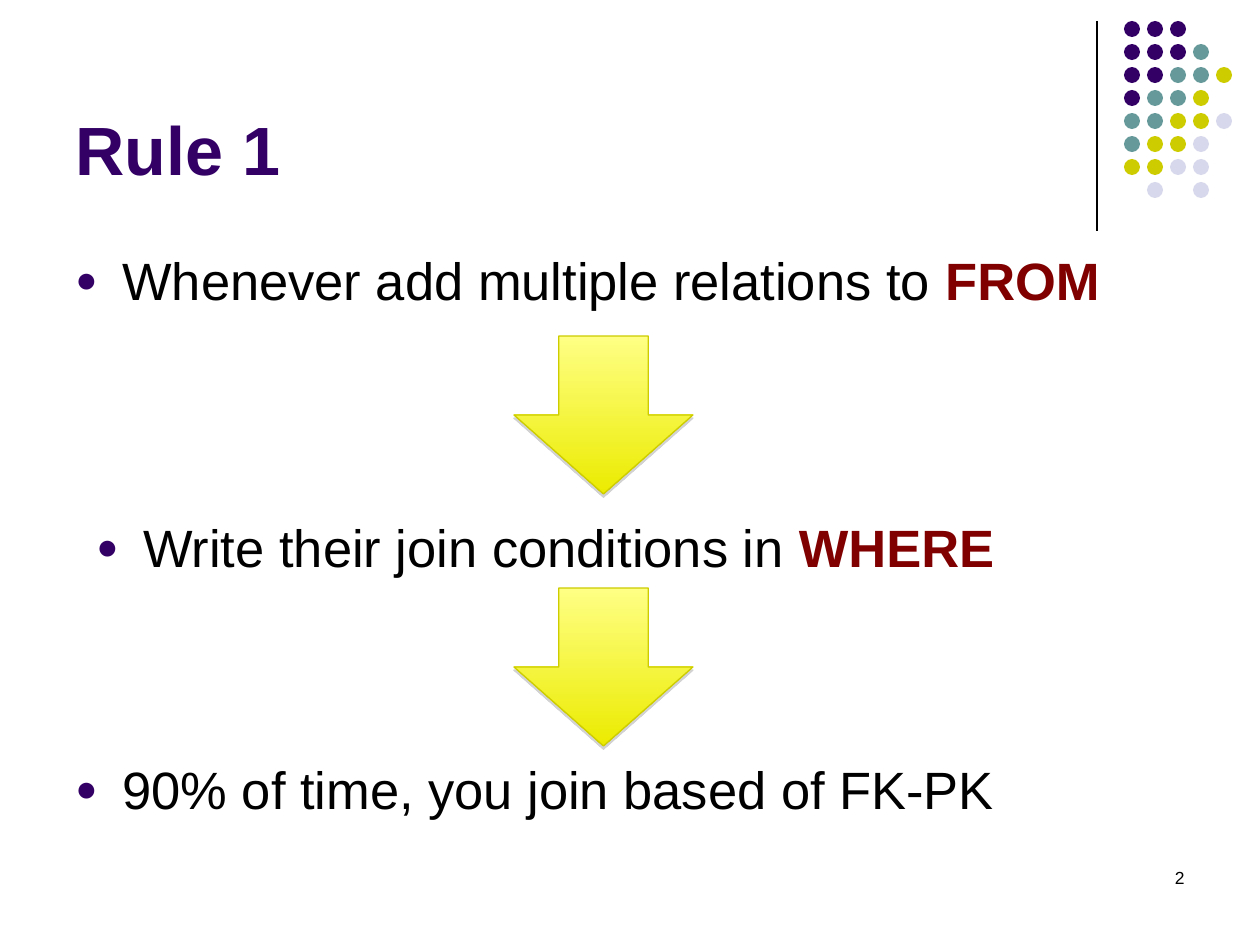
from lxml.etree import SubElement
from pptx import Presentation
from pptx.dml.color import RGBColor
from pptx.enum.shapes import MSO_CONNECTOR, MSO_SHAPE
from pptx.enum.text import MSO_ANCHOR, PP_ALIGN
from pptx.oxml.ns import qn
from pptx.util import Pt

PURPLE = RGBColor(0x33, 0x00, 0x66)
TEAL = RGBColor(0x66, 0x99, 0x99)
OLIVE = RGBColor(0xCC, 0xCC, 0x00)
LILAC = RGBColor(0xD8, 0xD8, 0xEC)
MAROON = RGBColor(0x80, 0x00, 0x00)
BLACK = RGBColor(0x00, 0x00, 0x00)
GRAY = RGBColor(0x80, 0x80, 0x80)
PALE_YELLOW = RGBColor(0xFF, 0xFF, 0x85)
YELLOW = RGBColor(0xEB, 0xEB, 0x00)

FONT = "Arial"
DOT_COLORS = {"P": PURPLE, "T": TEAL, "O": OLIVE, "L": LILAC}
DOT_ROWS = ["PPP", "PPPT", "PPTTO", "PTTO", "TTOOL", "TOOL", "OOLL", " L L"]


def px(n):
    """Length in EMU, at 126 px to the inch."""
    return round(n * 914400 / 126)


def add_run(p, text, size, color=BLACK, bold=False):
    r = p.add_run()
    r.text = text
    r.font.name = FONT
    r.font.size = Pt(size)
    r.font.bold = bold
    r.font.color.rgb = color


def add_xml(parent, tag, **attrs):
    return SubElement(parent, qn(tag), {k: str(v) for k, v in attrs.items()})


def add_text_box(s, x, y, w, h):
    tf = s.shapes.add_textbox(px(x), px(y), px(w), px(h)).text_frame
    tf.word_wrap = True
    return tf


def add_title(s, x, y, w, h, text):
    sp = s.shapes.title
    sp.left, sp.top, sp.width, sp.height = px(x), px(y), px(w), px(h)
    tf = sp.text_frame
    tf.vertical_anchor = MSO_ANCHOR.BOTTOM
    p = tf.paragraphs[0]
    p.alignment = PP_ALIGN.LEFT
    add_run(p, text, 39, PURPLE, True)


def add_bullet(s, x, y, w, h, text, keyword=""):
    tf = add_text_box(s, x, y, w, h)
    tf.margin_top = px(11)
    p = tf.paragraphs[0]
    pPr = p._p.get_or_add_pPr()
    pPr.set("marL", str(px(47)))
    pPr.set("indent", str(px(-47)))
    add_xml(add_xml(pPr, "a:buClr"), "a:srgbClr", val=PURPLE)
    add_xml(pPr, "a:buSzPct", val=70000)
    add_xml(pPr, "a:buFont", typeface=FONT)
    add_xml(pPr, "a:buChar", char="●")
    add_run(p, text, 30)
    if keyword:
        add_run(p, keyword, 30, MAROON, True)


def add_down_arrow(s, x, y, w, h):
    sp = s.shapes.add_shape(MSO_SHAPE.DOWN_ARROW, px(x), px(y), px(w), px(h))
    sp.fill.gradient()
    sp.fill.gradient_angle = 270
    for stop, color in zip(sp.fill.gradient_stops, (PALE_YELLOW, YELLOW)):
        stop.color.rgb = color
    sp.line.color.rgb = OLIVE
    sp.line.width = Pt(0.75)
    # Soft drop shadow straight below
    sp.shadow.inherit = False
    effects = sp._element.spPr.find(qn("a:effectLst"))
    shadow = add_xml(effects, "a:outerShdw", blurRad=0, dist=Pt(1.8),
                     dir=5400000, rotWithShape=0)
    add_xml(add_xml(shadow, "a:srgbClr", val=GRAY), "a:alpha", val=35000)


def add_dot_ornament(s, x, y, h):
    # Vertical rule
    rule = s.shapes.add_connector(MSO_CONNECTOR.STRAIGHT,
                                  px(x), px(y), px(x), px(y + h))
    rule.line.color.rgb = BLACK
    rule.line.width = Pt(0.75)
    add_xml(rule._element.spPr, "a:effectLst")
    # Dot grid
    gap, pitch, size = 27, 23, 16
    for row, codes in enumerate(DOT_ROWS):
        for col, code in enumerate(codes):
            if code == " ":
                continue
            dot = s.shapes.add_shape(
                MSO_SHAPE.OVAL, px(x + gap + col * pitch),
                px(y + row * pitch), px(size), px(size))
            dot.shadow.inherit = False
            dot.fill.solid()
            dot.fill.fore_color.rgb = DOT_COLORS[code]
            dot.line.fill.background()


def add_page_number(s, x, y, w, h, number):
    p = add_text_box(s, x, y, w, h).paragraphs[0]
    p.alignment = PP_ALIGN.RIGHT
    add_run(p, number, 10)


def main():
    prs = Presentation()
    prs.slide_width, prs.slide_height = px(1260), px(945)
    s = prs.slides.add_slide(prs.slide_layouts[5])

    add_dot_ornament(s, 1097, 21, 210)
    add_title(s, 63, 16, 1040, 179, "Rule 1")

    # Steps of the rule, with arrows between them
    add_bullet(s, 63, 237, 1134, 110,
               "Whenever add multiple relations to ", "FROM")
    add_bullet(s, 84, 504, 1134, 110,
               "Write their join conditions in ", "WHERE")
    add_bullet(s, 63, 746, 1134, 110, "90% of time, you join based of FK-PK")
    for y in (336, 588):
        add_down_arrow(s, 514, y, 179, 158)

    add_page_number(s, 903, 861, 294, 63, "2")
    prs.save("out.pptx")


if __name__ == "__main__":
    main()
